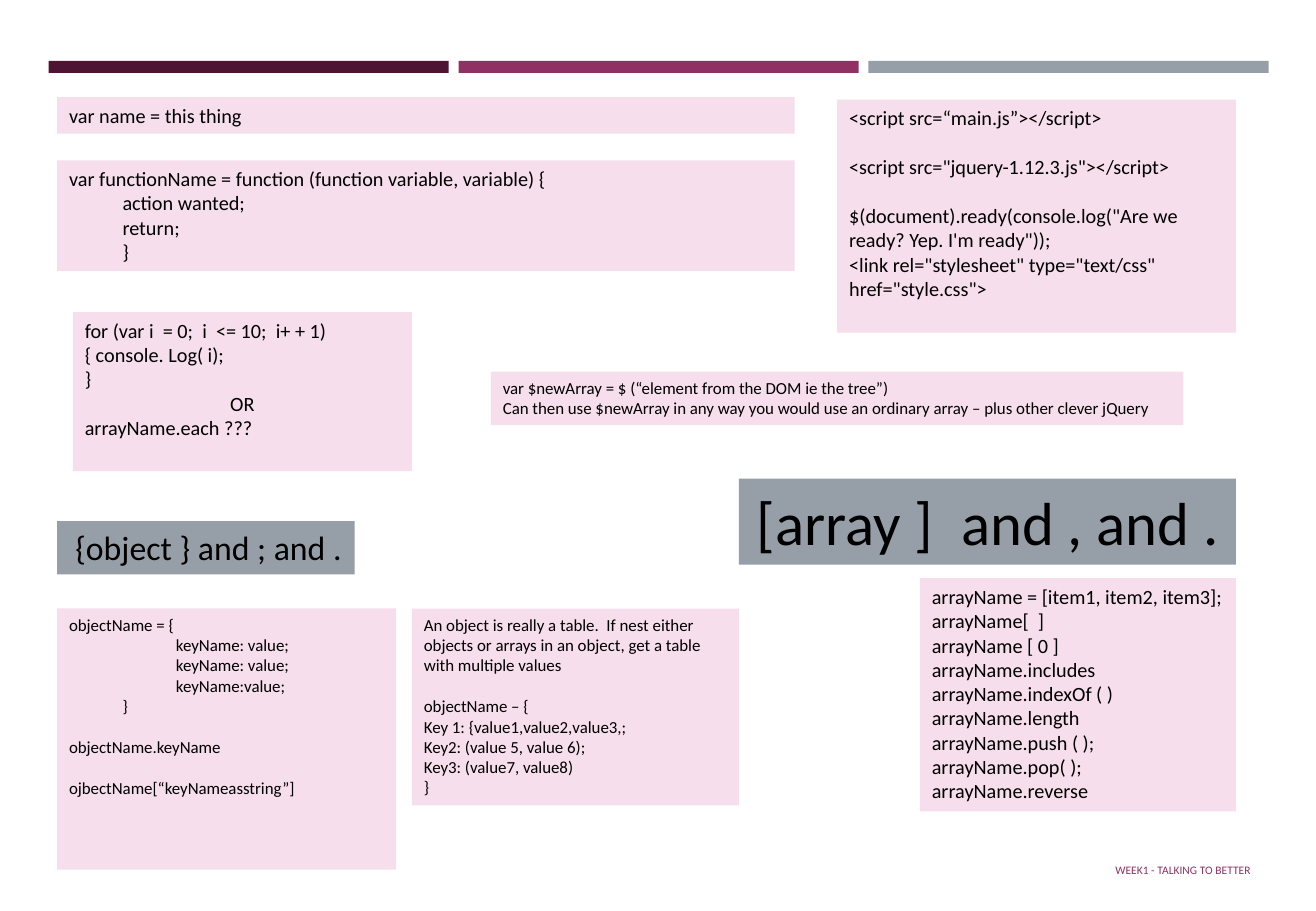
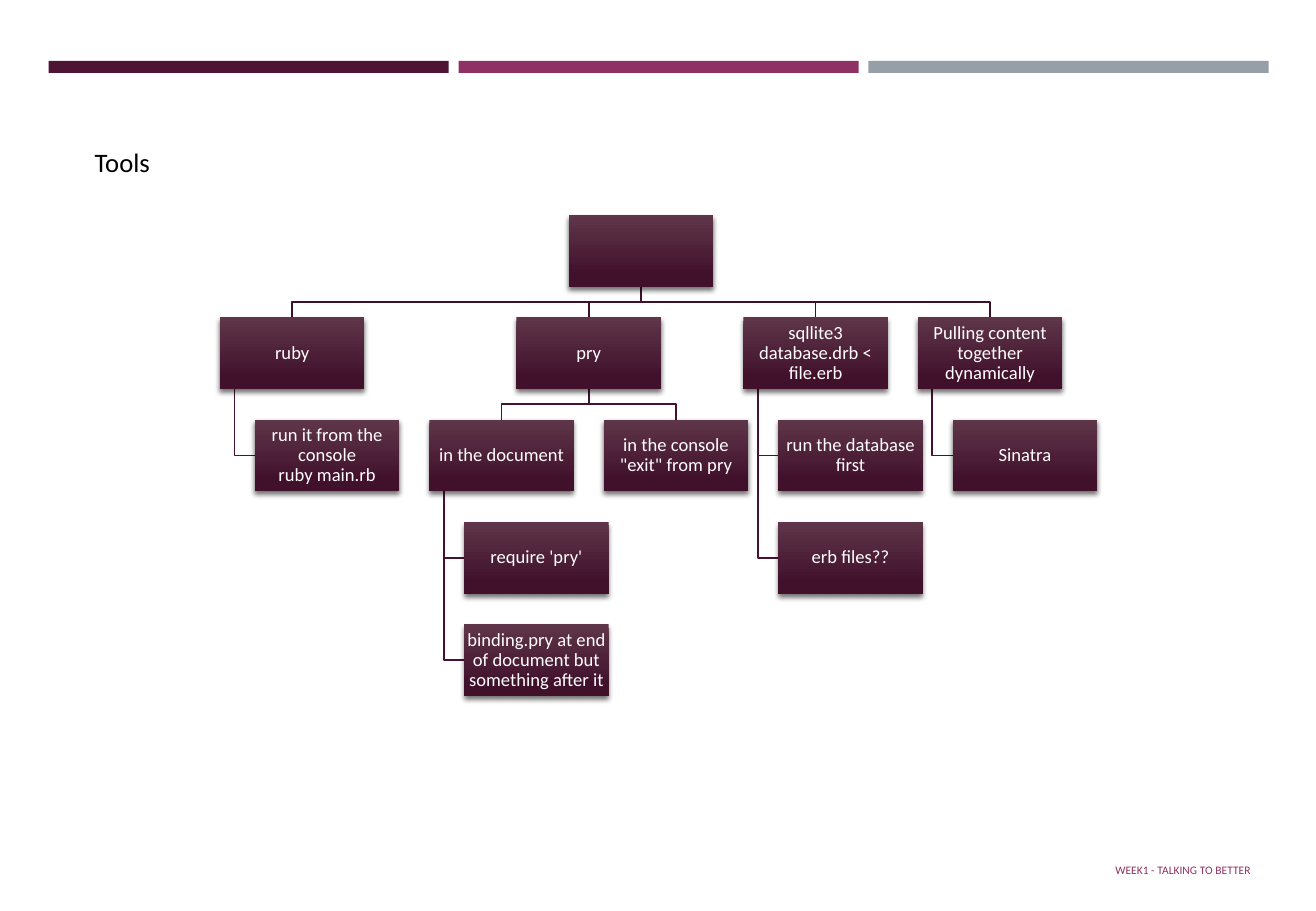
from dataclasses import dataclass

from lxml import etree
from pptx import Presentation
from pptx.dml.color import RGBColor
from pptx.enum.shapes import MSO_SHAPE as SHAPE
from pptx.enum.text import MSO_ANCHOR as ANCHOR, PP_ALIGN as ALIGN
from pptx.oxml.ns import qn
from pptx.util import Inches, Pt

SLIDE_W, SLIDE_H = Inches(10.83), Inches(7.5)
FONT = "Calibri"
BLACK, WHITE = "000000", "FFFFFF"
PLUM, MAGENTA, GREY, PINK = "4D1434", "903163", "969FA7", "F6DEEC"
NODE_TOP, NODE_BOTTOM = "5F3649", "41112C"
ROOT_LINK, LINK = "3E102A", "46122F"
TAB = Inches(0.44)
LINE_HEIGHT = 1.22


@dataclass
class Line:
    text: str
    indent: int = 0
    gap: bool = False
    align: ALIGN = ALIGN.LEFT


@dataclass
class Node:
    """A box at a column and row of the chart; hanging ones join the parent at their left side."""
    col: float
    row: int
    text: str
    parent: str = ""
    hangs: bool = False


CARDS = [
    # box in percent of the slide, text size, wrap, lines
    ((4.34, 17.6, 56.05, 12.13), 12, True, [
        Line("var functionName = function (function variable, variable) {"),
        Line("action wanted;", 1), Line("return;", 1), Line("}", 1)]),
    ((4.34, 10.67, 56.05, 4), 12, True, [Line("var name = this thing")]),
    ((63.62, 10.93, 30.29, 25.6), 12, True, [
        Line("<script src=“main.js”></script>"),
        Line('<script src="jquery-1.12.3.js"></script>', gap=True),
        Line('$(document).ready(console.log("Are we ready? Yep. I\'m ready"));', gap=True),
        Line('<link rel="stylesheet" type="text/css" href="style.css">')]),
    ((5.54, 34.27, 25.76, 17.47), 12, True, [
        Line("for (var i  = 0;  i  <= 10;  i+ + 1)"), Line("{ console. Log( i);"), Line("}"),
        Line("OR", align=ALIGN.CENTER), Line("arrayName.each ???")]),
    ((69.9, 63.47, 24.01, 25.6), 12, False, [
        Line("arrayName = [item1, item2, item3];"), Line("arrayName[  ]"),
        Line("arrayName [ 0 ]"), Line("arrayName.includes"), Line("arrayName.indexOf ( )"),
        Line("arrayName.length"), Line("arrayName.push ( );"), Line("arrayName.pop( );"),
        Line("arrayName.reverse")]),
    ((4.34, 66.8, 25.76, 28.67), 10, True, [
        Line("objectName = {"), Line("keyName: value;", 2), Line("keyName: value;", 2),
        Line("keyName:value;", 2), Line("}", 1), Line("objectName.keyName", gap=True),
        Line("ojbectName[“keyNameasstring”]", gap=True)]),
    ((31.3, 66.8, 24.84, 21.6), 10, True, [
        Line("An object is really a table.  If nest either objects or arrays in an object, "
             "get a table with multiple values"),
        Line("objectName – {", gap=True), Line("Key 1: {value1,value2,value3,;"),
        Line("Key2: (value 5, value 6);"), Line("Key3: (value7, value8)"), Line("}")]),
    ((37.3, 40.8, 52.63, 5.87), 10, True, [
        Line("var $newArray = $ (“element from the DOM ie the tree”)"),
        Line("Can then use $newArray in any way you would use an ordinary array "
             "– plus other clever jQuery")]),
]

HEADINGS = [
    ((56.14, 52.53, 37.77, 9.47), 36, "[array ]  and , and ."),
    ((4.34, 57.2, 22.62, 5.87), 20, "{object } and ; and ."),
]

TOOLS = {
    "root": Node(2, 0, ""),
    "ruby": Node(0, 1, "ruby", "root"),
    "pry": Node(1.7, 1, "pry", "root"),
    "sql": Node(3, 1, "sqllite3 database.drb < file.erb", "root"),
    "pulling": Node(4, 1, "Pulling content together dynamically", "root"),
    "run ruby": Node(0.2, 2, "run it from the console\vruby main.rb", "ruby", True),
    "document": Node(1.2, 2, "in the document", "pry"),
    "console": Node(2.2, 2, 'in the console "exit" from pry', "pry"),
    "database": Node(3.2, 2, "run the database first", "sql", True),
    "sinatra": Node(4.2, 2, "Sinatra", "pulling", True),
    "require": Node(1.4, 3, "require 'pry'", "document", True),
    "erb": Node(3.2, 3, "erb files??", "sql", True),
    "binding": Node(1.4, 4, "binding.pry at end of document but something after it",
                    "document", True),
}
LAST_COL, LAST_ROW = 4.2, 4


def rgb(color):
    return RGBColor.from_string(color)


def area(x, y, w, h):
    """Turn percentages of the slide into a box."""
    return tuple(round(share * side / 100) for share, side in
                 zip((x, y, w, h), (SLIDE_W, SLIDE_H) * 2))


def style(p, size, color):
    for r in p.runs:
        r.font.name, r.font.size = FONT, Pt(size)
        r.font.color.rgb = rgb(color)


def add_rect(slide, box):
    sp = slide.shapes.add_shape(SHAPE.RECTANGLE, *box)
    sp.line.fill.background()
    sp.shadow.inherit = False
    return sp


def add_text(slide, box, lines, size, color=BLACK, fill=None, wrap=True):
    sp = slide.shapes.add_textbox(*box)
    if fill:
        sp.fill.solid()
        sp.fill.fore_color.rgb = rgb(fill)
    tf = sp.text_frame
    tf.word_wrap = wrap
    for i, line in enumerate(lines):
        p = tf.paragraphs[0] if i == 0 else tf.add_paragraph()
        p.text, p.alignment = line.text, line.align
        if line.indent:
            p._p.get_or_add_pPr().set("marL", str(line.indent * TAB))
        if line.gap:
            p.space_before = Pt(round(size * LINE_HEIGHT, 1))
        style(p, size, color)
    return sp


def add_bands(slide, box):
    x, y, w, h = box
    gap = Inches(0.08)
    band_w = (w - 2 * gap) // 3
    for i, color in enumerate((PLUM, MAGENTA, GREY)):
        sp = add_rect(slide, (x + i * (band_w + gap), y, band_w, h))
        sp.fill.solid()
        sp.fill.fore_color.rgb = rgb(color)


def add_base_slide(prs):
    slide = prs.slides.add_slide(prs.slide_layouts[6])
    add_bands(slide, area(3.69, 6.67, 92.71, 1.33))
    footer = add_text(slide, area(83.84, 93.33, 14.5, 4.27),
                      [Line("WEEK1 - TALKING TO BETTER")], 6.8, MAGENTA)
    footer.text_frame.vertical_anchor = ANCHOR.MIDDLE
    return slide


def add_node(slide, box, text):
    sp = add_rect(slide, box)
    sp.fill.gradient()
    sp.fill.gradient_angle = 270
    for stop, position, color in zip(sp.fill.gradient_stops, (0, 0.84), (NODE_TOP, NODE_BOTTOM)):
        stop.position = position
        stop.color.rgb = rgb(color)
    effects = sp._element.spPr.find(qn("a:effectLst"))
    shadow = etree.SubElement(effects, qn("a:outerShdw"), blurRad=str(Pt(3)), dist=str(Pt(2)),
                              dir="5400000", rotWithShape="0")
    shade = etree.SubElement(shadow, qn("a:srgbClr"), val=BLACK)
    etree.SubElement(shade, qn("a:alpha"), val="55000")
    if not text:
        return
    tf = sp.text_frame
    tf.word_wrap, tf.vertical_anchor = True, ANCHOR.MIDDLE
    tf.margin_left = tf.margin_right = tf.margin_top = tf.margin_bottom = Inches(0.01)
    p = tf.paragraphs[0]
    p.text, p.alignment, p.line_spacing = text, ALIGN.CENTER, 0.9
    style(p, 11, WHITE)


def add_link(slide, parent, child, hangs, color):
    px, py, w, h = parent
    cx, cy = child[:2]
    bottom = py + h
    if hangs:
        spine, middle = px + w // 10, cy + h // 2
        points = [(spine, bottom), (spine, middle), (cx, middle)]
    else:
        start, end, bus = px + w // 2, cx + w // 2, (bottom + cy) // 2
        points = [(start, bottom), (start, bus), (end, bus), (end, cy)]
    builder = slide.shapes.build_freeform(*points[0])
    builder.add_line_segments(points[1:], close=False)
    sp = builder.convert_to_shape()
    sp.fill.background()
    sp.line.color.rgb = rgb(color)
    sp.line.width = Pt(1)
    sp.shadow.inherit = False


def add_tree(slide, box, nodes):
    x, y, w, h = box
    node_w, node_h = Inches(1.19), Inches(0.59)
    col_step, row_step = (w - node_w) / LAST_COL, (h - node_h) / LAST_ROW
    boxes = {name: (round(x + n.col * col_step), round(y + n.row * row_step), node_w, node_h)
             for name, n in nodes.items()}
    for name, n in nodes.items():
        if n.parent:
            color = ROOT_LINK if n.parent == "root" else LINK
            add_link(slide, boxes[n.parent], boxes[name], n.hangs, color)
    for name, n in nodes.items():
        add_node(slide, boxes[name], n.text)


def add_syntax_slide(prs):
    slide = add_base_slide(prs)
    for box, size, wrap, lines in CARDS:
        add_text(slide, area(*box), lines, size, fill=PINK, wrap=wrap)
    for box, size, text in HEADINGS:
        sp = add_text(slide, area(*box), [Line(text)], size, fill=GREY, wrap=False)
        sp.text_frame.margin_left = Inches(0.15)


def add_tools_slide(prs):
    slide = add_base_slide(prs)
    add_text(slide, area(6.28, 15.33, 6.28, 4.93), [Line("Tools")], 15.8, wrap=False)
    add_tree(slide, area(16.71, 23.6, 66.67, 52.8), TOOLS)


def main():
    prs = Presentation()
    prs.slide_width, prs.slide_height = SLIDE_W, SLIDE_H
    add_syntax_slide(prs)
    add_tools_slide(prs)
    prs.save("out.pptx")


if __name__ == "__main__":
    main()
